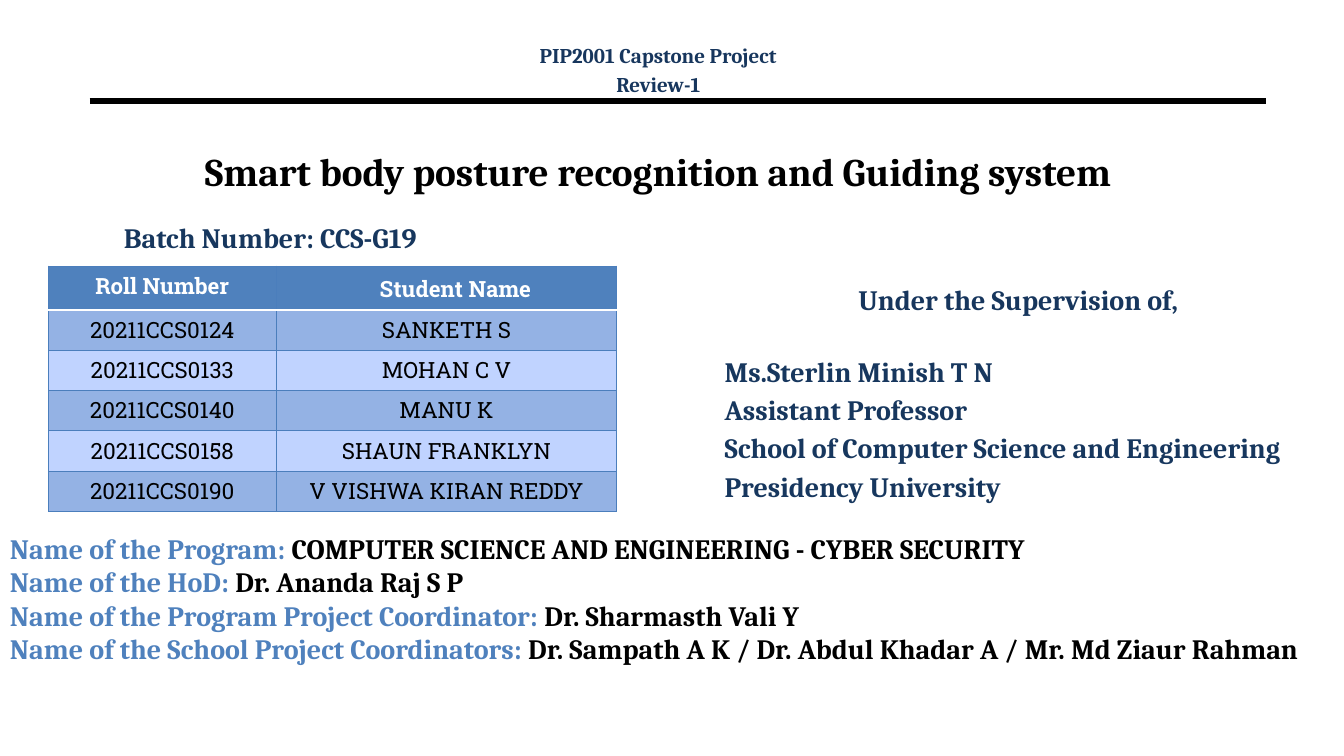
import pptx
import pptx.util
import pptx.dml.color
import pptx.enum.shapes
import pptx.enum.text
import pptx.oxml.ns
import lxml.etree

Pt = pptx.util.Pt
ALIGN = pptx.enum.text.PP_ALIGN
ANCHOR = pptx.enum.text.MSO_ANCHOR
COLORS = {
    "black": "000000",
    "white": "FFFFFF",
    "navy": "17375E",
    "heading": "17365D",
    "blue": "4F81BD",
    "border": "4B7EBC",
    "dark band": "94B2E4",
    "light band": "C0D3FF",
}
SERIF = "Cambria"
SLAB = "Roboto Slab"

TITLE = "Smart body posture recognition and Guiding system"
REVIEW = ["PIP2001 Capstone Project", "Review-1"]
BATCH = "Batch Number: CCS-G19"
SUPERVISION = "Under the Supervision of,"
SUPERVISOR = [
    "Ms.Sterlin Minish T N",
    "Assistant Professor",
    "School of Computer Science and Engineering",
    "Presidency University",
]
DETAILS = [
    ("Name of the Program: ", "COMPUTER SCIENCE AND ENGINEERING - CYBER SECURITY"),
    ("Name of the HoD: ", "Dr. Ananda Raj S P"),
    ("Name of the Program Project Coordinator: ", "Dr. Sharmasth Vali Y"),
    ("Name of the School Project Coordinators: ",
     "Dr. Sampath A K / Dr. Abdul Khadar A / Mr. Md Ziaur Rahman"),
]
STUDENTS = [
    ("Roll Number", "Student Name"),
    ("20211CCS0124", "SANKETH S"),
    ("20211CCS0133", "MOHAN C V"),
    ("20211CCS0140", "MANU K"),
    ("20211CCS0158", "SHAUN FRANKLYN"),
    ("20211CCS0190", "V VISHWA KIRAN REDDY"),
]
COLUMN_WIDTHS = [162.7, 243.3]
HEADER_HEIGHT = 31.4
ROW_HEIGHT = 28.8


def rgb(name):
    return pptx.dml.color.RGBColor.from_string(COLORS[name])


def add_run(paragraph, text, size, color, font=SERIF, bold=True):
    run = paragraph.add_run()
    run.text = text
    run.font.size = Pt(size)
    run.font.name = font
    run.font.bold = bold
    run.font.color.rgb = rgb(color)


def fill_frame(frame, paragraphs, size):
    frame.word_wrap = True
    frame.auto_size = pptx.enum.text.MSO_AUTO_SIZE.NONE
    for index, (runs, align, before) in enumerate(paragraphs):
        paragraph = frame.paragraphs[0] if index == 0 else frame.add_paragraph()
        paragraph.alignment = align
        paragraph.space_before = Pt(before)
        for text, color in runs:
            add_run(paragraph, text, size, color)


def add_text(slide, box, paragraphs, size):
    shape = slide.shapes.add_textbox(*[Pt(value) for value in box])
    fill_frame(shape.text_frame, paragraphs, size)


def set_borders(cell, edges):
    properties = cell._tc.get_or_add_tcPr()
    for index, (side, color, width) in enumerate(edges):
        line = lxml.etree.Element(pptx.oxml.ns.qn("a:ln" + side), w=str(Pt(width)))
        fill = lxml.etree.SubElement(line, pptx.oxml.ns.qn("a:solidFill"))
        lxml.etree.SubElement(fill, pptx.oxml.ns.qn("a:srgbClr"), val=COLORS[color])
        properties.insert(index, line)


def add_students(slide):
    height = HEADER_HEIGHT + ROW_HEIGHT * (len(STUDENTS) - 1)
    table = slide.shapes.add_table(
        len(STUDENTS), len(COLUMN_WIDTHS),
        Pt(34.6), Pt(190), Pt(sum(COLUMN_WIDTHS)), Pt(height)).table
    for column, width in zip(table.columns, COLUMN_WIDTHS):
        column.width = Pt(width)
    for row_index, names in enumerate(STUDENTS):
        header = row_index == 0
        table.rows[row_index].height = Pt(HEADER_HEIGHT if header else ROW_HEIGHT)
        band = "blue" if header else "dark band" if row_index % 2 else "light band"
        for column_index, name in enumerate(names):
            cell = table.cell(row_index, column_index)
            cell.fill.solid()
            cell.fill.fore_color.rgb = rgb(band)
            if header and column_index == 1:
                cell.margin_left = Pt(20)
                cell.margin_top = Pt(5.6)
            paragraph = cell.text_frame.paragraphs[0]
            paragraph.alignment = ALIGN.CENTER
            add_run(paragraph, name, 16, "white" if header else "black", SLAB, header)
            top = ("white", 2) if row_index == 1 else ("border", 0.75)
            bottom = ("white", 2) if header else ("border", 0.75)
            set_borders(cell, [("L", "border", 0.75), ("R", "border", 0.75),
                               ("T", *top), ("B", *bottom)])


def main():
    presentation = pptx.Presentation()
    presentation.slide_width = Pt(960)
    presentation.slide_height = Pt(540)
    slide = presentation.slides.add_slide(presentation.slide_layouts[5])

    rule = slide.shapes.add_connector(
        pptx.enum.shapes.MSO_CONNECTOR.STRAIGHT, Pt(64), Pt(72), Pt(904), Pt(72))
    rule.line.color.rgb = rgb("black")
    rule.line.width = Pt(4.5)
    lxml.etree.SubElement(rule._element.spPr, pptx.oxml.ns.qn("a:effectLst"))

    title = slide.shapes.title
    title.left, title.top, title.width, title.height = Pt(62), Pt(84), Pt(816), Pt(76)
    title.text_frame.vertical_anchor = ANCHOR.MIDDLE
    fill_frame(title.text_frame, [([(TITLE, "black")], ALIGN.CENTER, 0)], 28)

    add_text(slide, (81.4, 154, 312.5, 43), [([(BATCH, "navy")], ALIGN.LEFT, 0)], 20)
    add_text(slide, (314, 26.6, 312.5, 43),
             [([(line, "heading")], ALIGN.CENTER, 3.1 * index)
              for index, line in enumerate(REVIEW)], 15)
    add_text(slide, (510.5, 198, 434, 159),
             [([(SUPERVISION, "heading")], ALIGN.CENTER, 0)]
             + [([(line, "navy")], ALIGN.LEFT, 3.4 if index else 27.4)
                for index, line in enumerate(SUPERVISOR)], 20)
    add_text(slide, (0, 375.8, 960, 123),
             [([(label, "blue"), (value, "black")], ALIGN.LEFT, 0)
              for label, value in DETAILS], 20)
    add_students(slide)
    presentation.save("out.pptx")


if __name__ == "__main__":
    main()
